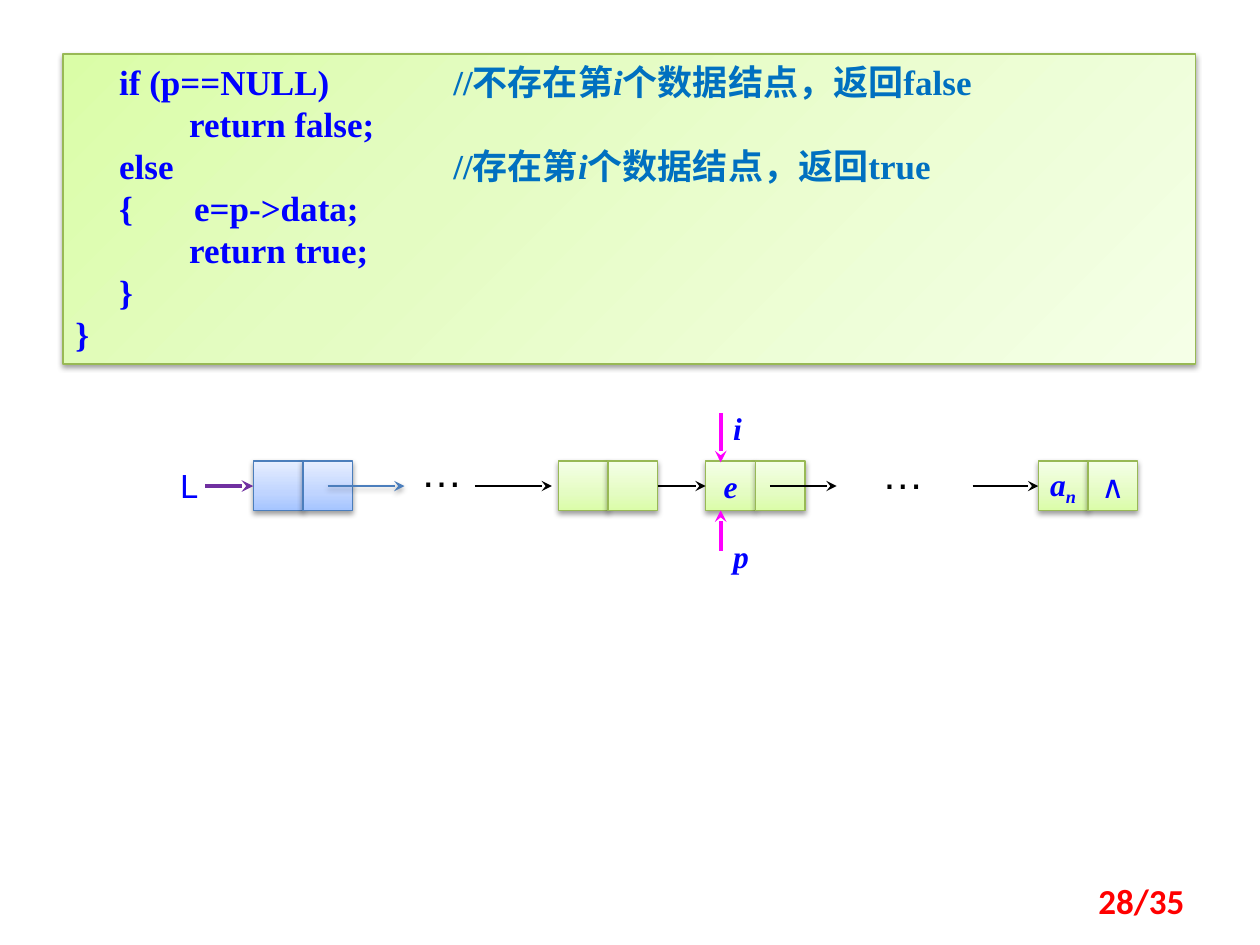
from dataclasses import dataclass
from typing import Optional

from lxml import etree
from pptx import Presentation
from pptx.dml.color import RGBColor
from pptx.enum.shapes import MSO_CONNECTOR, MSO_SHAPE
from pptx.enum.text import MSO_ANCHOR, PP_ALIGN
from pptx.oxml.ns import qn
from pptx.util import Inches, Pt

RECT = MSO_SHAPE.RECTANGLE
STRAIGHT = MSO_CONNECTOR.STRAIGHT
TOP, MIDDLE = MSO_ANCHOR.TOP, MSO_ANCHOR.MIDDLE
LEFT, CENTER, RIGHT = PP_ALIGN.LEFT, PP_ALIGN.CENTER, PP_ALIGN.RIGHT
LEFT_SIDE, RIGHT_SIDE = 1, 3

COLORS = {
    "code": "0000FF", "comment": "0070C0", "black": "000000", "page": "FF0000",
    "head": "7030A0", "pointer": "FF00FF", "green_line": "98B955", "blue_line": "4B7EBC",
}
GRADIENTS = {
    "green": ((0, "DAFDA7"), (35, "E4FCC2"), (100, "F5FFE7")),
    "blue": ((0, "A4C4FF"), (35, "BFD4FF"), (100, "E6EEFF")),
}
SERIF, SANS = "Times New Roman", "DejaVu Sans"
CELL = 0.395
ROW_TOP = 3.66
ROW_MIDDLE = ROW_TOP + CELL / 2


@dataclass
class Node:
    left: float
    theme: str = "green"


@dataclass
class Arrow:
    start: tuple
    end: tuple
    color: str = "black"
    width: float = 0.75
    source: Optional[object] = None
    target: Optional[object] = None
    shadow: bool = False


@dataclass
class Label:
    text: str
    left: float
    top: float
    width: float
    height: float
    style: dict


def add_run(paragraph, text: str, *, size: float = 18, font: str = SERIF, color: str = "code",
            bold: bool = False, italic: bool = False, baseline: int = 0) -> None:
    run = paragraph.add_run()
    run.text = text
    run.font.size = Pt(size)
    run.font.name = font
    run.font.bold = bold
    run.font.italic = italic
    run.font.color.rgb = RGBColor.from_string(COLORS[color])
    if baseline:
        run.font._element.set("baseline", str(baseline * 1000))


def set_shadow(properties) -> None:
    effects = properties.find(qn("a:effectLst"))
    if effects is None:
        effects = etree.SubElement(properties, qn("a:effectLst"))
    shadow = etree.SubElement(effects, qn("a:outerShdw"), blurRad="40000", dist="20000",
                              dir="5400000", rotWithShape="0")
    tint = etree.SubElement(shadow, qn("a:srgbClr"), val=COLORS["black"])
    etree.SubElement(tint, qn("a:alpha"), val="38000")


def set_tabs(paragraph, *positions: float) -> None:
    tabs = etree.SubElement(paragraph._p.get_or_add_pPr(), qn("a:tabLst"))
    for position in positions:
        etree.SubElement(tabs, qn("a:tab"), pos=str(Inches(position)), algn="l")


def add_panel(slide, left: float, top: float, width: float, height: float,
              theme: str, angle: float):
    panel = slide.shapes.add_shape(RECT, Inches(left), Inches(top), Inches(width), Inches(height))
    panel.fill.gradient()
    panel.fill.gradient_angle = angle
    stops = panel._element.spPr.find(qn("a:gradFill")).find(qn("a:gsLst"))
    for stop in list(stops):
        stops.remove(stop)
    for position, color in GRADIENTS[theme]:
        stop = etree.SubElement(stops, qn("a:gs"), pos=str(position * 1000))
        etree.SubElement(stop, qn("a:srgbClr"), val=color)
    panel.line.color.rgb = RGBColor.from_string(COLORS[theme + "_line"])
    panel.line.width = Pt(0.75)
    panel.shadow.inherit = False
    set_shadow(panel._element.spPr)
    return panel


def add_node(slide, node: Node) -> list:
    return [add_panel(slide, node.left + i * CELL, ROW_TOP, CELL, CELL, node.theme, 90)
            for i in range(2)]


def fill_cell(cell, *runs: tuple) -> None:
    frame = cell.text_frame
    frame.word_wrap = False
    frame.vertical_anchor = MIDDLE
    paragraph = frame.paragraphs[0]
    paragraph.alignment = CENTER
    for text, style in runs:
        add_run(paragraph, text, **style)


def add_arrow(slide, arrow: Arrow) -> None:
    line = slide.shapes.add_connector(STRAIGHT, *map(Inches, arrow.start + arrow.end))
    if arrow.source is not None:
        line.begin_connect(arrow.source, RIGHT_SIDE)
    if arrow.target is not None:
        line.end_connect(arrow.target, LEFT_SIDE)
    line.line.color.rgb = RGBColor.from_string(COLORS[arrow.color])
    line.line.width = Pt(arrow.width)
    etree.SubElement(line.line._get_or_add_ln(), qn("a:tailEnd"), type="stealth")
    properties = line._element.spPr
    if arrow.shadow:
        set_shadow(properties)
    else:
        etree.SubElement(properties, qn("a:effectLst"))


def add_label(slide, label: Label, align=LEFT, anchor=TOP) -> None:
    box = slide.shapes.add_textbox(Inches(label.left), Inches(label.top),
                                   Inches(label.width), Inches(label.height))
    box.text_frame.word_wrap = True
    box.text_frame.vertical_anchor = anchor
    paragraph = box.text_frame.paragraphs[0]
    paragraph.alignment = align
    add_run(paragraph, label.text, **label.style)


def add_code(slide) -> None:
    panel = add_panel(slide, 0.5, 0.43, 8.99, 2.46, "green", 315)
    frame = panel.text_frame
    frame.vertical_anchor = TOP
    lines = [
        ("     if (p==NULL)\t", "//不存在第", "个数据结点，返回false"),
        ("             return false;",),
        ("     else\t\t\t", "//存在第", "个数据结点，返回true"),
        ("     {       e=p->data;",),
        ("             return true;",),
        ("     }",),
        ("}",),
    ]
    for i, (code, *comment) in enumerate(lines):
        paragraph = frame.add_paragraph() if i else frame.paragraphs[0]
        paragraph.alignment = LEFT
        paragraph.line_spacing = Pt(24)
        set_tabs(paragraph, 1, 2, 3)
        add_run(paragraph, code, size=20, bold=True)
        if comment:
            before, after = comment
            for text, italic in ((before, False), ("i", True), (after, False)):
                add_run(paragraph, text, size=20, color="comment", bold=True, italic=italic)


def main() -> None:
    deck = Presentation()
    deck.slide_width, deck.slide_height = Inches(10), Inches(7.5)
    slide = deck.slides.add_slide(deck.slide_layouts[6])
    add_code(slide)

    head, previous, current, last = [
        add_node(slide, node)
        for node in (Node(2.01, "blue"), Node(4.43), Node(5.6), Node(8.24))
    ]
    symbol = dict(bold=True, italic=True)
    fill_cell(current[0], ("e", symbol))
    fill_cell(last[0], ("a", symbol), ("n", dict(symbol, baseline=-25)))
    fill_cell(last[1], ("∧", dict(font=SANS)))

    y = ROW_MIDDLE
    for arrow in (
        Arrow((1.63, y), (2.01, y), "head", 2.25, target=head[0]),
        Arrow((2.6, y), (3.21, y), "blue_line", shadow=True),
        Arrow((3.77, y), (4.38, y)),
        Arrow((5.22, y), (5.6, y), source=previous[1], target=current[0]),
        Arrow((6.11, y), (6.64, y)),
        Arrow((7.72, y), (8.24, y), target=last[0]),
        Arrow((5.72, 3.28), (5.72, 3.67), "pointer", 2.25),
        Arrow((5.72, 4.37), (5.72, 4.05), "pointer", 2.25),
    ):
        add_arrow(slide, arrow)

    dots = dict(size=24, font="Arial", color="black")
    for label in (
        Label("L", 1.33, 3.66, 0.29, 0.4, dict(font=SANS)),
        Label("…", 3.24, 3.49, 0.79, 0.5, dots),
        Label("…", 6.9, 3.5, 0.79, 0.5, dots),
        Label("i", 5.72, 3.2, 0.39, 0.4, symbol),
        Label("p", 5.72, 4.21, 0.39, 0.4, symbol),
    ):
        add_label(slide, label)
    page = Label("28/35", 7.17, 6.95, 2.33, 0.4,
                 dict(size=20, font="Calibri", color="page", bold=True))
    add_label(slide, page, RIGHT, MIDDLE)
    deck.save("out.pptx")


if __name__ == "__main__":
    main()
